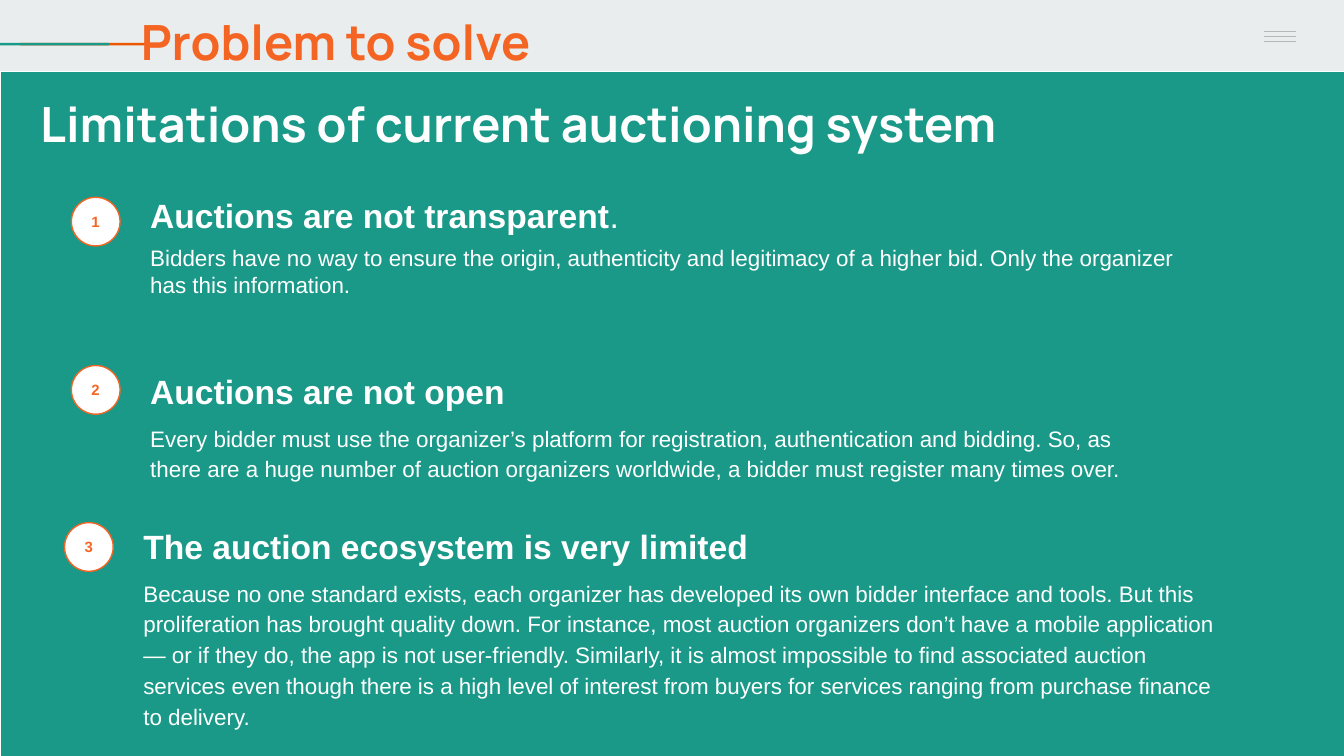
from lxml import etree
from pptx import Presentation
from pptx.dml.color import RGBColor
from pptx.enum import shapes as kinds, text as txt
from pptx.oxml.ns import qn
from pptx.util import Cm, Pt
from dataclasses import dataclass


@dataclass(frozen=True)
class Theme:
    band: str = "E9EDEE"
    teal: str = "1A9988"
    rust: str = "EB5600"
    orange: str = "F46524"
    white: str = "FFFFFF"
    grey: str = "B7B7B7"
    title: int = 26
    head: int = 18
    body: int = 12
    badge: int = 8


look = Theme()
rgb = RGBColor.from_string


def write(para, words, size, color=look.white, bold=False, font="Arial",
          align=txt.PP_ALIGN.LEFT, lines=1.0, gap=0):
    para.alignment = align
    para.line_spacing = lines
    para.space_before = para.space_after = Pt(gap)
    run = para.add_run()
    run.text = words
    run.font.name = font
    run.font.size = Pt(size)
    run.font.bold = bold
    run.font.color.rgb = rgb(color)


def draw(kind, left, top, width, height, fill, line=None):
    shape = slide.shapes.add_shape(kind, Cm(left), Cm(top), Cm(width), Cm(height))
    shape.shadow.inherit = False
    shape.fill.solid()
    shape.fill.fore_color.rgb = rgb(fill)
    if line:
        shape.line.color.rgb = rgb(line)
        shape.line.width = Pt(0.75)
    else:
        shape.line.fill.background()
    return shape


deck = Presentation()
deck.slide_width, deck.slide_height = Cm(25.4), Cm(14.29)
slide = deck.slides.add_slide(deck.slide_layouts[5])
rect, oval = kinds.MSO_SHAPE.RECTANGLE, kinds.MSO_SHAPE.OVAL

# Header band, menu icon and two-colour rule
draw(rect, 0, 0, 25.4, 1.35, look.band)
for y in (0.6, 0.69, 0.78):
    bar = slide.shapes.add_connector(
        kinds.MSO_CONNECTOR.STRAIGHT, Cm(23.88), Cm(y), Cm(24.49), Cm(y))
    bar.line.color.rgb = rgb(look.grey)
    bar.line.width = Pt(0.75)
    etree.SubElement(bar.element.spPr, qn("a:effectLst"))
draw(rect, 0.38, 0.81, 2.36, 0.05, look.rust)
draw(rect, 0, 0.81, 2.06, 0.05, look.teal)

draw(rect, 0, 1.35, 25.48, 12.95, look.teal, look.white)

# Numbered limits: badge left, badge top, text top, text width, line spacing
limits = [
    (1.35, 3.73, 3.43, 20.37, 1.0, "Auctions are not transparent", ".",
     "Bidders have no way to ensure the origin, authenticity and legitimacy of "
     "a higher bid. Only the organizer has this information."),
    (1.35, 6.91, 6.65, 19.63, 1.15, "Auctions are not open", "",
     "Every bidder must use the organizer’s platform for registration, "
     "authentication and bidding. So, as there are a huge number of auction "
     "organizers worldwide, a bidder must register many times over."),
    (1.22, 9.88, 9.58, 20.9, 1.15, "The auction ecosystem is very limited", "",
     "Because no one standard exists, each organizer has developed its own "
     "bidder interface and tools. But this proliferation has brought quality "
     "down. For instance, most auction organizers don’t have a mobile "
     "application — or if they do, the app is not user-friendly. Similarly, it "
     "is almost impossible to find associated auction services even though "
     "there is a high level of interest from buyers for services ranging from "
     "purchase finance to delivery."),
]
for num, (left, top, y, width, lines, head, tail, body) in enumerate(limits, 1):
    badge = draw(oval, left, top, 0.92, 0.92, look.white, look.orange)
    frame = badge.text_frame
    frame.word_wrap = False
    frame.vertical_anchor = txt.MSO_ANCHOR.MIDDLE
    write(frame.paragraphs[0], str(num), look.badge, look.orange, True,
          align=txt.PP_ALIGN.CENTER)

    box = slide.shapes.add_textbox(Cm(left + 1.24), Cm(y), Cm(width), Cm(2.92))
    frame = box.text_frame
    frame.word_wrap = True
    frame.margin_left = frame.margin_right = Cm(0.25)
    frame.margin_top = frame.margin_bottom = Cm(0.25)
    write(frame.paragraphs[0], head, look.head, bold=True, lines=lines)
    if tail:
        write(frame.paragraphs[0], tail, look.head, lines=lines)
    write(frame.add_paragraph(), body, look.body, lines=lines, gap=5)

# Title and subtitle, in front of the panel
title = slide.shapes.title
title.element.getparent().append(title.element)
sub = slide.shapes.add_textbox(0, 0, Cm(1), Cm(1))
for box, left, top, words, color in (
    (title, 2.41, 0, "Problem to solve", look.orange),
    (sub, 0.51, 1.55, "Limitations of current auctioning system", look.white),
):
    box.left, box.top, box.width, box.height = Cm(left), Cm(top), Cm(20.73), Cm(1.55)
    frame = box.text_frame
    frame.word_wrap = True
    frame.auto_size = txt.MSO_AUTO_SIZE.NONE
    frame.vertical_anchor = txt.MSO_ANCHOR.MIDDLE
    frame.margin_left = frame.margin_right = Cm(0.25)
    frame.margin_top = frame.margin_bottom = Cm(0.25)
    write(frame.paragraphs[0], words, look.title, color, True, "Manrope")

deck.save("out.pptx")
